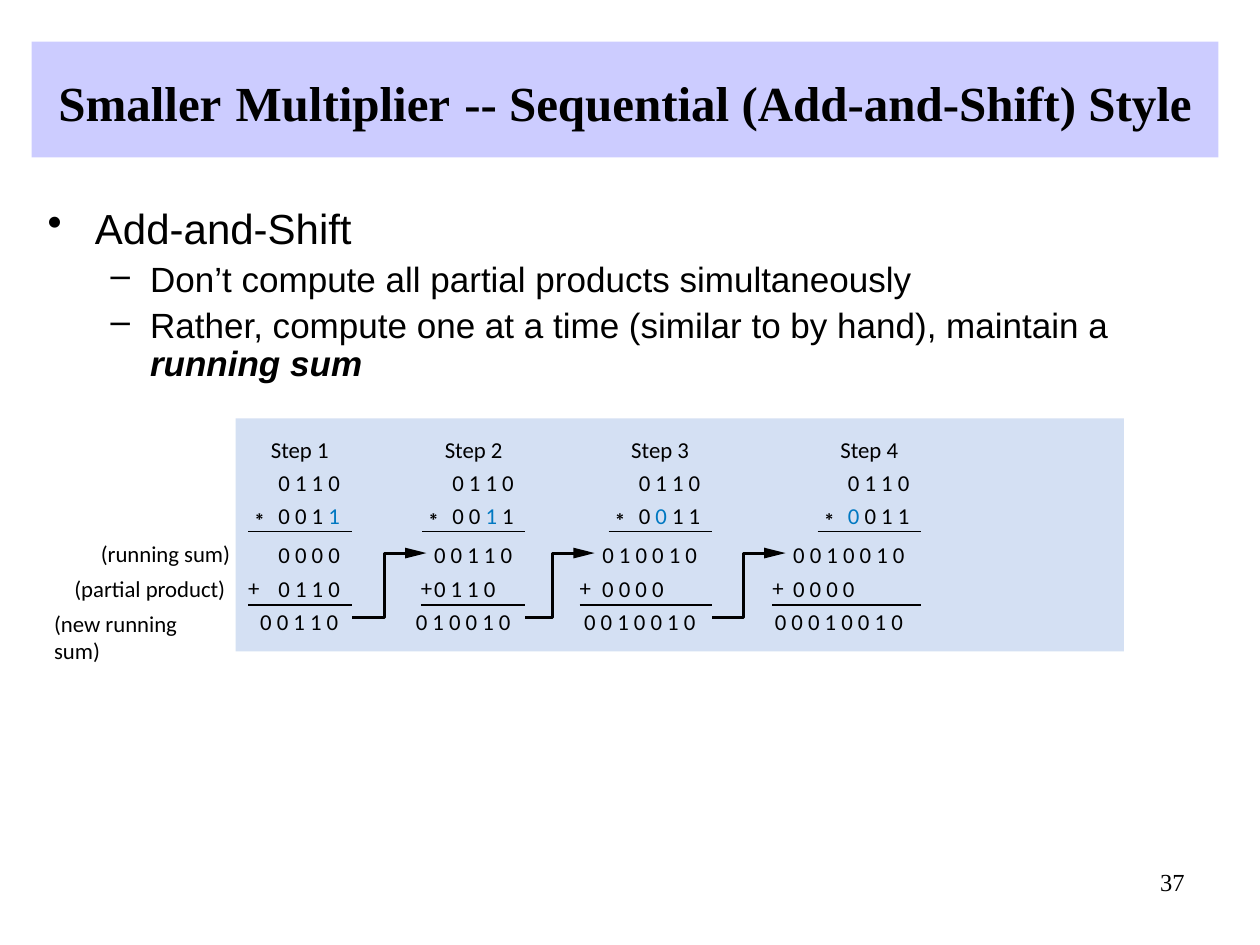
import pptx
import pptx.dml.color
import pptx.enum.shapes
import pptx.enum.text
import pptx.oxml
import pptx.util
import lxml.etree

BLACK = pptx.dml.color.RGBColor(0x00, 0x00, 0x00)
BLUE = pptx.dml.color.RGBColor(0x00, 0x78, 0xC1)
LAVENDER = pptx.dml.color.RGBColor(0xCC, 0xCC, 0xFF)
PALE_BLUE = pptx.dml.color.RGBColor(0xD4, 0xE0, 0xF3)

SLIDE_WIDTH = pptx.util.Inches(10)
SLIDE_HEIGHT = pptx.util.Inches(7.5)
CELL = SLIDE_WIDTH / 100
TEXT_ROW = 2.2
DIGIT_STEP = 1.34
SHIFT = 1.45
ROWS = {"heading": 1.4, "multiplicand": 4, "multiplier": 6.6, "upper rule": 9,
        "sum": 9.7, "partial": 12.4, "lower rule": 14.8, "result": 15}

SMALL = {"size": pptx.util.Pt(13), "name": "Calibri"}
TITLE = {"size": pptx.util.Pt(28), "name": "Times New Roman", "bold": True}
WIDE_SPACE = TITLE | {"size": pptx.util.Pt(32)}
LEVEL_ONE = {"size": pptx.util.Pt(24), "name": "Arial"}
LEVEL_TWO = {"size": pptx.util.Pt(20), "name": "Arial"}
NO_MARGINS = {"margin_left": 0, "margin_top": 0, "margin_right": 0, "margin_bottom": 0,
              "auto_size": pptx.enum.text.MSO_AUTO_SIZE.SHAPE_TO_FIT_TEXT}


def grid(*cells):
    """Turn grid cells into slide lengths."""
    return [pptx.util.Emu(round(cell * CELL)) for cell in cells]


def set_values(target, values):
    """Set each attribute named in a dict of format values."""
    for name, value in values.items():
        setattr(target, name, value)


def add_span(para, text, font, color=BLACK):
    """Add a run of formatted text to a paragraph."""
    span = para.add_run()
    span.text = text
    set_values(span.font, font)
    span.font.color.rgb = color


def add_rectangle(page, box, color):
    """Add a plain filled rectangle."""
    shape = page.shapes.add_shape(pptx.enum.shapes.MSO_SHAPE.RECTANGLE, *grid(*box))
    shape.shadow.inherit = False
    shape.fill.solid()
    shape.fill.fore_color.rgb = color
    shape.line.fill.background()
    return shape


def add_text(page, box, *spans):
    """Add a small text box without margins from (text, color) spans."""
    frame = page.shapes.add_textbox(*grid(*box)).text_frame
    set_values(frame, NO_MARGINS | {"word_wrap": True})
    for text, color in spans:
        add_span(frame.paragraphs[0], text, SMALL, color)
    return frame


def add_digits(page, left, top, digits, marked=None):
    """Write spaced digits, with the marked one in blue."""
    box = (left, top, len(digits) * DIGIT_STEP + 0.2, TEXT_ROW)
    spans = [((" " if place else "") + digit, BLUE if place == marked else BLACK)
             for place, digit in enumerate(digits)]
    add_text(page, box, *spans)


def add_rule(page, left, right, top):
    """Draw a thin horizontal line."""
    rule = page.shapes.add_connector(pptx.enum.shapes.MSO_CONNECTOR.STRAIGHT,
                                     *grid(left, top, right, top))
    rule.line.color.rgb = BLACK
    rule.line.width = pptx.util.Pt(0.88)
    lxml.etree.SubElement(rule.element.spPr, pptx.oxml.ns.qn("a:effectLst"))


def add_outline(page, points, closed):
    """Build an unfilled polyline or a filled polygon."""
    start, *others = [grid(*point) for point in points]
    builder = page.shapes.build_freeform(*start, scale=1.0)
    builder.add_line_segments(others, close=closed)
    shape = builder.convert_to_shape()
    shape.shadow.inherit = False
    if closed:
        shape.fill.solid()
        shape.fill.fore_color.rgb = BLACK
        shape.line.fill.background()
    else:
        shape.fill.background()
        shape.line.color.rgb = BLACK
        shape.line.width = pptx.util.Pt(1.63)


def add_title(page, box):
    """Add the title band."""
    frame = add_rectangle(page, box, LAVENDER).text_frame
    set_values(frame, {"word_wrap": True,
                       "vertical_anchor": pptx.enum.text.MSO_ANCHOR.MIDDLE})
    para = frame.paragraphs[0]
    para.alignment = pptx.enum.text.PP_ALIGN.CENTER
    for text in ("Smaller", " ", "Multiplier", " ", "-- Sequential (Add-and-Shift) Style"):
        add_span(para, text, WIDE_SPACE if text == " " else TITLE)


def add_body(page, box):
    """Add the bulleted list."""
    frame = page.shapes.add_textbox(*grid(*box)).text_frame
    frame.word_wrap = True
    items = [
        (0, [("Add-and-Shift", LEVEL_ONE)]),
        (1, [("Don’t compute all partial products simultaneously", LEVEL_TWO)]),
        (1, [("Rather, compute one at a time (similar to by hand), maintain a ", LEVEL_TWO),
             ("running sum", LEVEL_TWO | {"bold": True, "italic": True})]),
    ]
    for number, (level, spans) in enumerate(items):
        para = frame.add_paragraph() if number else frame.paragraphs[0]
        set_values(para, {"level": level, "line_spacing": 0.9,
                          "space_before": pptx.util.Pt(5)})
        margin, indent = grid(*[(3.75, -3.75), (8.13, -3.13)][level])
        properties = para._p.get_or_add_pPr()
        properties.set("marL", str(margin))
        properties.set("indent", str(indent))
        bullet = lxml.etree.SubElement(properties, pptx.oxml.ns.qn("a:buChar"))
        bullet.set("char", "•–"[level])
        for text, font in spans:
            add_span(para, text, font)


def add_row_labels(page, top):
    """Name the rows to the left of the panel."""
    for left, row, width, text in (
        (8, ROWS["sum"] - 0.1, 11, "(running sum)"),
        (5.9, ROWS["partial"], 12.9, "(partial product)"),
        (4.3, ROWS["result"] + 0.2, 13, "(new running sum)"),
    ):
        add_text(page, (left, top + row, width, TEXT_ROW), (text, BLACK))


def add_step(page, right, top, number, running, partial, result, span):
    """Write one multiplication step that ends at the right edge."""
    rows = {name: top + row for name, row in ROWS.items()}
    digits_left = right - 5.8
    shifted_left = digits_left - SHIFT * number
    add_text(page, (right - 6.4, rows["heading"], 5.2, TEXT_ROW),
             (f"Step {number + 1}", BLACK))
    add_digits(page, digits_left, rows["multiplicand"], "0110")
    add_digits(page, digits_left, rows["multiplier"], "0011", 3 - number)
    star = add_text(page, (right - 8.2, rows["multiplier"] - 0.1, 1.2, TEXT_ROW), ("∗", BLACK))
    star.paragraphs[0].runs[0].font.name = "Arial"
    add_rule(page, right - 8.2, right, rows["upper rule"])
    add_digits(page, shifted_left, rows["sum"], running)
    add_digits(page, shifted_left, rows["partial"], partial)
    add_text(page, (right - span, rows["partial"] - 0.1, 1.2, TEXT_ROW), ("+", BLACK))
    add_rule(page, right - span, right, rows["lower rule"])
    add_digits(page, shifted_left - SHIFT, rows["result"], result)


def add_carry(page, start, tip, top):
    """Carry a result up to the running sum of the next step."""
    high, low = top + 10.7, top + 15.8
    elbow, neck = tip - 3.35, tip - 1.7
    add_outline(page, [(neck + 0.3, high), (elbow, high), (elbow, low), (start, low)], False)
    add_outline(page, [(tip, high), (neck, high - 0.43), (neck, high + 0.43)], True)


def add_worked_example(page, box):
    """Add the panel with its four steps and the carries between them."""
    add_rectangle(page, box, PALE_BLUE)
    left, top = box[:2]
    steps = [
        (9.2, "0000", "0110", "00110", 8.2),
        (23, "00110", "0110", "010010", 8.3),
        (37.8, "010010", "0000", "0010010", 10.5),
        (54.4, "0010010", "0000", "00010010", 11.8),
    ]
    add_row_labels(page, top)
    for number, (right, *values) in enumerate(steps):
        add_step(page, left + right, top, number, *values)
        if number:
            tip = left + right - 5.8 - SHIFT * number - 0.6
            add_carry(page, left + steps[number - 1][0], tip, top)


def add_page_number(page, box):
    """Add the page number."""
    para = page.shapes.add_textbox(*grid(*box)).text_frame.paragraphs[0]
    para._p.getparent().bodyPr.set("wrap", "square")
    para.alignment = pptx.enum.text.PP_ALIGN.RIGHT
    add_span(para, "37", {"size": pptx.util.Pt(14), "name": "Times New Roman"})


def main():
    """Build the slide and save it."""
    deck = pptx.Presentation()
    set_values(deck, {"slide_width": SLIDE_WIDTH, "slide_height": SLIDE_HEIGHT})
    page = deck.slides.add_slide(deck.slide_layouts[6])
    add_page_number(page, (74.2, 68.3, 20.8, 5))
    add_title(page, (2.5, 3.3, 94.2, 9.2))
    add_body(page, (2.8, 16, 93.8, 15.5))
    add_worked_example(page, (18.7, 33.2, 70.5, 18.5))
    deck.save("out.pptx")


if __name__ == "__main__":
    main()
